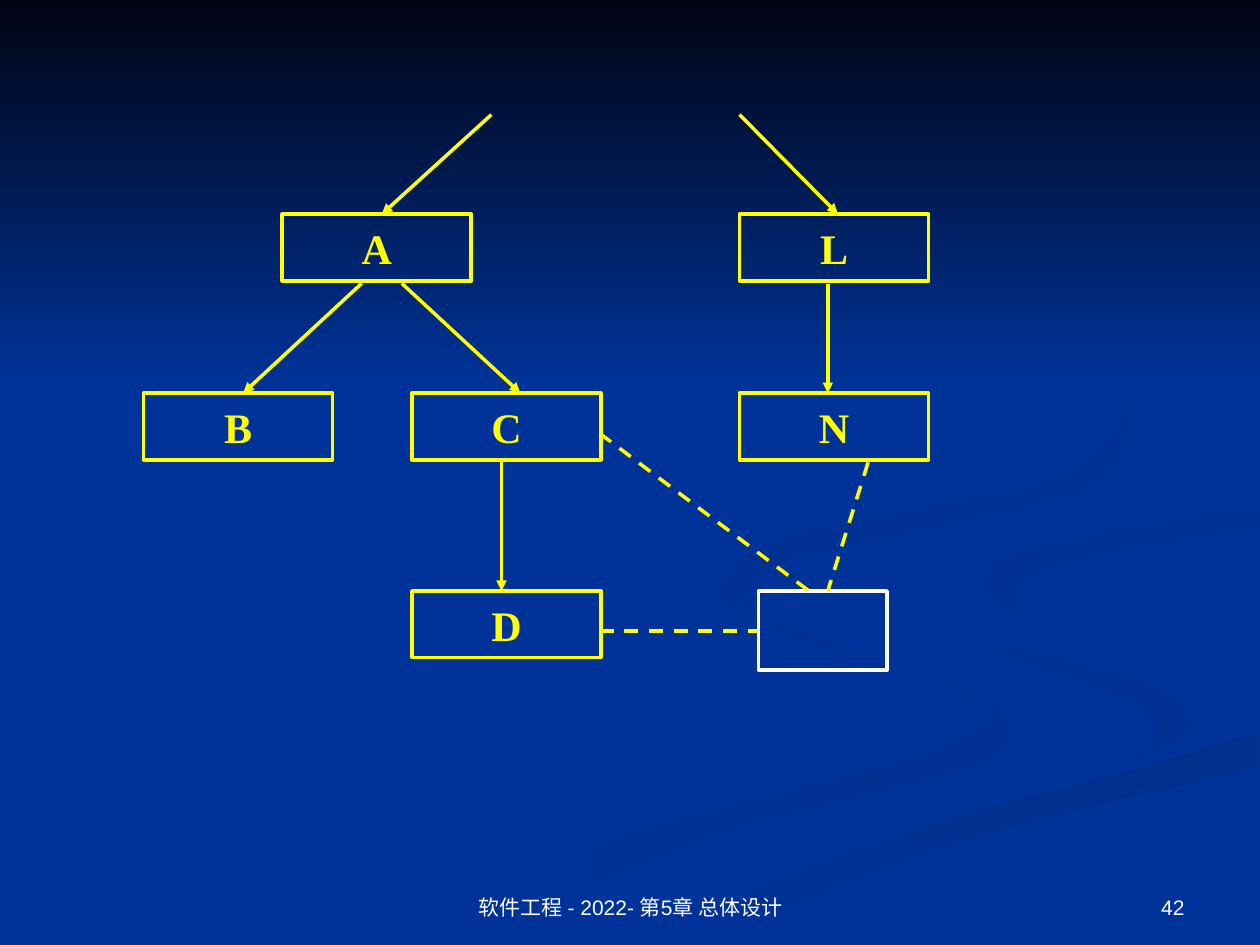
from dataclasses import dataclass

from lxml.etree import SubElement
from pptx import Presentation
from pptx.dml.color import RGBColor
from pptx.enum.dml import MSO_LINE_DASH_STYLE as Dash
from pptx.enum.shapes import MSO_CONNECTOR as Connector, MSO_SHAPE as Shape
from pptx.enum.text import MSO_ANCHOR as Anchor, PP_ALIGN as Align
from pptx.oxml.ns import qn
from pptx.util import Inches, Pt

COLORS = {
    "blue": "003399", "night": "000514", "white": "FFFFFF", "yellow": "FFFF00",
    "shade_1": "003193", "shade_2": "002F8C", "shade_3": "003091", "shade_4": "002F8E",
}
BOX_WIDTH, BOX_HEIGHT = 1.5, 0.53
ROW_1, ROW_2, ROW_3 = 1.7, 3.12, 4.69
LINE_WIDTH = Pt(2)
CURVE_STEPS = 6

Point = tuple[float, float]


@dataclass
class Ribbon:
    """A band between two smooth edges that run the same way."""
    start: str
    end: str
    angle: int  # clockwise
    outer: list[Point]
    inner: list[Point]


@dataclass
class Module:
    label: str
    left: float
    top: float
    width: float = BOX_WIDTH
    height: float = BOX_HEIGHT
    color: str = "yellow"


@dataclass
class Link:
    start: Point
    end: Point
    dashed: bool = False


@dataclass
class Footer:
    text: str
    left: float
    width: float
    align: Align


# Background ribbons, from back to front
RIBBONS = [
    Ribbon("blue", "shade_1", 0,
           [(5.75, 4.59), (5.94, 4.85), (6.82, 5.19), (7.67, 5.47), (7.99, 5.73),
            (7.86, 6.01), (6.99, 6.28), (5.64, 6.65), (3.61, 7.49)],
           [(5.7, 4.7), (6.11, 4.99), (7.14, 5.3), (7.81, 5.56), (7.83, 5.74),
            (7.14, 6.05), (5.39, 6.49), (4.17, 6.9), (3, 7.49)]),
    Ribbon("blue", "shade_1", 45,
           [(7.24, 4.64), (7.58, 4.98), (8.7, 5.3), (9.3, 5.53), (9.41, 5.81), (8.94, 6.05)],
           [(7.24, 4.64), (7.55, 5.05), (8.38, 5.36), (9, 5.57), (9.17, 5.85), (8.94, 6.05)]),
    Ribbon("shade_2", "blue", 90,
           [(5.03, 7.49), (6.3, 6.93), (7.64, 6.47), (9.03, 6.1), (9.98, 5.81)],
           [(5.71, 7.49), (6.49, 7.1), (7.85, 6.61), (9.98, 6.09)]),
    Ribbon("shade_3", "blue", 45,
           [(9.98, 4.02), (8.65, 4.24), (7.91, 4.47), (7.86, 4.74), (8.26, 4.96)],
           [(9.98, 4.2), (8.78, 4.39), (8.16, 4.59), (8.06, 4.8), (8.26, 4.96)]),
    Ribbon("shade_4", "blue", 45,
           [(7.62, 2.33), (8.8, 3.07), (8.94, 3.44), (8.55, 3.91), (6.83, 4.3),
            (6.14, 4.48), (5.94, 4.75), (6.22, 5)],
           [(7.62, 2.33), (8.76, 3.06), (8.88, 3.41), (8.42, 3.78), (7.33, 4.04),
            (6.25, 4.26), (5.78, 4.6), (6.22, 5)]),
    # Night sky band across the top
    Ribbon("night", "blue", 90, [(0, 0), (10, 0)], [(0, 3.08), (10, 3.08)]),
]

MODULES = [
    Module("A", 2.24, ROW_1), Module("L", 5.87, ROW_1),
    Module("B", 1.14, ROW_2), Module("C", 3.27, ROW_2), Module("N", 5.87, ROW_2),
    Module("D", 3.27, ROW_3),
    Module("", 6.02, ROW_3, 1.02, 0.63, "white"),
]

LINKS = [
    Link((3.9, 0.91), (3.03, ROW_1)), Link((5.87, 0.91), (6.65, ROW_1)),
    Link((2.87, 2.25), (1.93, ROW_2)), Link((3.19, 2.25), (4.13, ROW_2)),
    Link((6.57, 2.25), (6.57, ROW_2)), Link((3.98, 3.67), (3.98, ROW_3)),
    Link((4.76, 3.44), (6.42, ROW_3), True), Link((4.76, 5.01), (6.02, 5.01), True),
    Link((6.89, 3.67), (6.57, ROW_3), True),
]

FOOTERS = [
    Footer("软件工程 - 2022- 第5章 总体设计", 3.42, 3.17, Align.CENTER),
    Footer("42", 7.17, 2.33, Align.RIGHT),
]


def rgb(name: str) -> RGBColor:
    return RGBColor.from_string(COLORS[name])


def smooth(points: list[Point]) -> list[Point]:
    """Run a Catmull-Rom curve through the points."""
    padded = [points[0], *points, points[-1]]
    curve = []
    for a, b, c, d in zip(padded, padded[1:], padded[2:], padded[3:]):
        for step in range(CURVE_STEPS):
            t = step / CURVE_STEPS
            curve.append(tuple(
                q + t * ((r - p) + t * ((2 * p - 5 * q + 4 * r - s)
                                        + t * (3 * q - p - 3 * r + s))) / 2
                for p, q, r, s in zip(a, b, c, d)))
    return [*curve, points[-1]]


def write_text(shape, text: str, size: int, font_name: str, color: str,
               align: Align, anchor: Anchor, bold: bool = False) -> None:
    frame = shape.text_frame
    frame.word_wrap = True
    frame.vertical_anchor = anchor
    frame.text = text
    paragraph = frame.paragraphs[0]
    paragraph.alignment = align
    for run in paragraph.runs:
        run.font.size, run.font.name, run.font.bold = Pt(size), font_name, bold
        run.font.color.rgb = rgb(color)


def draw_ribbon(slide, ribbon: Ribbon) -> None:
    outline = smooth(ribbon.outer) + smooth(ribbon.inner)[::-1]
    points = [(Inches(x), Inches(y)) for x, y in outline]
    builder = slide.shapes.build_freeform(*points[0])
    builder.add_line_segments(points[1:], close=True)
    shape = builder.convert_to_shape()
    shape.shadow.inherit = False
    shape.line.fill.background()
    shape.fill.gradient()
    shape.fill.gradient_angle = -ribbon.angle % 360
    for stop, color in zip(shape.fill.gradient_stops, (ribbon.start, ribbon.end)):
        stop.color.rgb = rgb(color)


def draw_module(slide, module: Module) -> None:
    shape = slide.shapes.add_shape(Shape.RECTANGLE, Inches(module.left), Inches(module.top),
                                   Inches(module.width), Inches(module.height))
    shape.shadow.inherit = False
    shape.fill.background()
    shape.line.color.rgb = rgb(module.color)
    shape.line.width = LINE_WIDTH
    if module.label:
        write_text(shape, module.label, 24, "Times New Roman", module.color,
                   Align.CENTER, Anchor.MIDDLE, bold=True)


def draw_link(slide, link: Link) -> None:
    ends = [Inches(value) for value in (*link.start, *link.end)]
    connector = slide.shapes.add_connector(Connector.STRAIGHT, *ends)
    connector.line.color.rgb = rgb("yellow")
    connector.line.width = LINE_WIDTH
    if link.dashed:
        connector.line.dash_style = Dash.DASH
    else:
        line = connector._element.spPr.find(qn("a:ln"))
        SubElement(line, qn("a:tailEnd"), type="triangle")
    SubElement(connector._element.spPr, qn("a:effectLst"))


def draw_footer(slide, footer: Footer) -> None:
    box = slide.shapes.add_textbox(Inches(footer.left), Inches(6.83),
                                   Inches(footer.width), Inches(0.52))
    write_text(box, footer.text, 12, "Arial", "white", footer.align, Anchor.BOTTOM)


def main() -> None:
    presentation = Presentation()
    presentation.slide_width, presentation.slide_height = Inches(10), Inches(7.5)
    slide = presentation.slides.add_slide(presentation.slide_layouts[6])
    slide.background.fill.solid()
    slide.background.fill.fore_color.rgb = rgb("blue")
    for draw, items in ((draw_ribbon, RIBBONS), (draw_footer, FOOTERS),
                        (draw_module, MODULES), (draw_link, LINKS)):
        for item in items:
            draw(slide, item)
    presentation.save("out.pptx")


if __name__ == "__main__":
    main()
